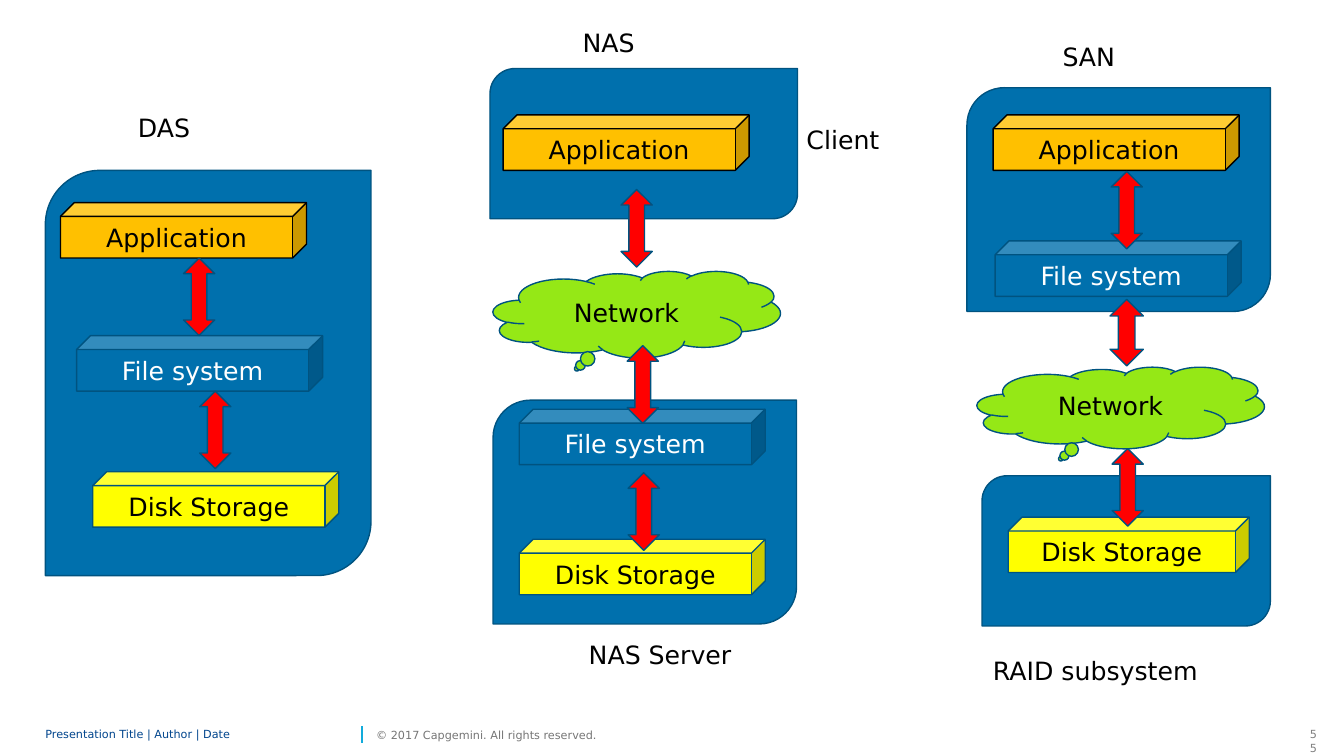
from lxml.etree import SubElement
from pptx import Presentation
from pptx.dml.color import RGBColor
from pptx.enum.shapes import MSO_SHAPE as SHAPE
from pptx.enum.text import MSO_ANCHOR as ANCHOR, PP_ALIGN as ALIGN
from pptx.oxml.ns import qn
from pptx.util import Pt

PX = 9144
FONT = "DejaVu Sans"
BLUE, NAVY, BLACK, WHITE = "0070AD", "005380", "000000", "FFFFFF"
ORANGE, YELLOW, GREEN, RED = "FFC000", "FFFF00", "95E816", "FF0000"


def write(holder, words, color, size=18, align=ALIGN.LEFT, spacing=None, **frame_format):
    frame = holder.text_frame
    for key, value in {"word_wrap": True, **frame_format}.items():
        setattr(frame, key, value)
    paragraph = frame.paragraphs[0]
    paragraph.alignment = align
    if spacing:
        paragraph.line_spacing = spacing
    run = paragraph.add_run()
    run.text = words
    for key, value in {"name": FONT, "size": Pt(size)}.items():
        setattr(run.font, key, value)
    run.font.color.rgb = RGBColor.from_string(color)


def draw(kind, box, fill, line=NAVY, words=None, color=BLACK):
    shape = slide.shapes.add_shape(kind, *[v * PX for v in box])
    shape.shadow.inherit = False
    shape.fill.solid()
    shape.fill.fore_color.rgb = RGBColor.from_string(fill)
    shape.line.color.rgb = RGBColor.from_string(line)
    shape.line.width = Pt(1)
    if words:
        write(shape, words, color, align=ALIGN.CENTER, vertical_anchor=ANCHOR.MIDDLE)


deck = Presentation()
deck.slide_width, deck.slide_height = 1333 * PX, 750 * PX
slide = deck.slides.add_slide(deck.slide_layouts[6])

no_inset = dict.fromkeys(["margin_left", "margin_top", "margin_right", "margin_bottom"], 0)
footer = {"vertical_anchor": ANCHOR.MIDDLE, **no_inset}
for words, box, color, extra in [
    ("55", (1289, 717, 27, 24), "808080", {"align": ALIGN.RIGHT}),
    ("Presentation Title | Author | Date", (45, 717, 309, 24), "00458D", {"spacing": 0.85, **footer}),
    ("© 2017 Capgemini. All rights reserved.", (373, 717, 243, 24), "767676", {"word_wrap": False, **footer}),
]:
    write(slide.shapes.add_textbox(*[v * PX for v in box]), words, color, 8, **extra)

divider = slide.shapes.add_connector(1, 359 * PX, 737 * PX, 359 * PX, 720 * PX)
divider.line.color.rgb = RGBColor.from_string("12ABDB")
divider.line.width = Pt(1)
SubElement(divider.line._get_or_add_ln().getparent(), qn("a:effectLst"))

for panel in [
    (45, 169, 323, 402),
    (486, 68, 305, 149),
    (489, 397, 301, 222),
    (959, 87, 301, 222),
    (974, 472, 286, 149),
]:
    draw(SHAPE.ROUND_2_DIAG_RECTANGLE, panel, BLUE)

layers = {
    "Application": (ORANGE, BLACK, BLACK, [(60, 201, 244), (499, 114, 244), (985, 114, 244)]),
    "File system": (BLUE, NAVY, WHITE, [(76, 333, 244), (515, 406, 244), (987, 239, 244)]),
    "Disk Storage": (YELLOW, NAVY, BLACK, [(92, 468, 244), (515, 535, 244), (1000, 513, 239)]),
}
for layer, (fill, line, color, places) in layers.items():
    for left, top, width in places:
        draw(SHAPE.CUBE, (left, top, width, 55), fill, line, layer, color)

for network in [(489, 269, 285, 86), (969, 364, 285, 81)]:
    draw(SHAPE.CLOUD_CALLOUT, network, GREEN, words="Network")

for left, top in [(182, 256), (198, 388), (616, 188), (622, 343), (623, 469), (1102, 170), (1103, 445)]:
    draw(SHAPE.UP_DOWN_ARROW, (left, top, 31, 77), RED)
draw(SHAPE.UP_DOWN_ARROW, (1101, 297, 33, 66), RED)

for caption, left, top, width in [
    ("DAS", 127, 107, 103),
    ("NAS", 568, 22, 86),
    ("SAN", 1044, 36, 107),
    ("Client", 790, 118, 169),
    ("NAS Server", 574, 629, 169),
    ("RAID subsystem", 975, 645, 320),
]:
    write(slide.shapes.add_textbox(left * PX, top * PX, width * PX, 40 * PX), caption, BLACK)

deck.save("out.pptx")
